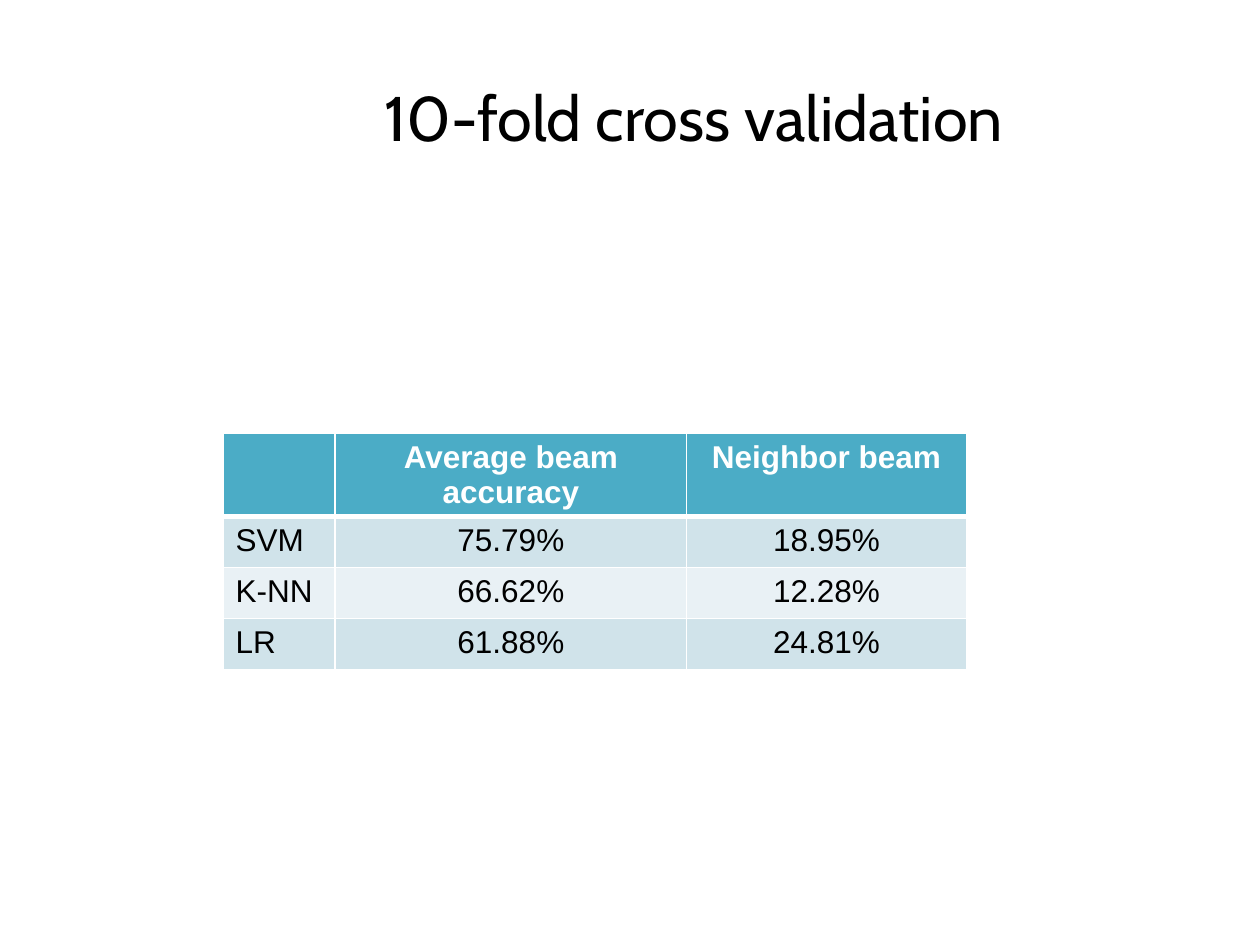
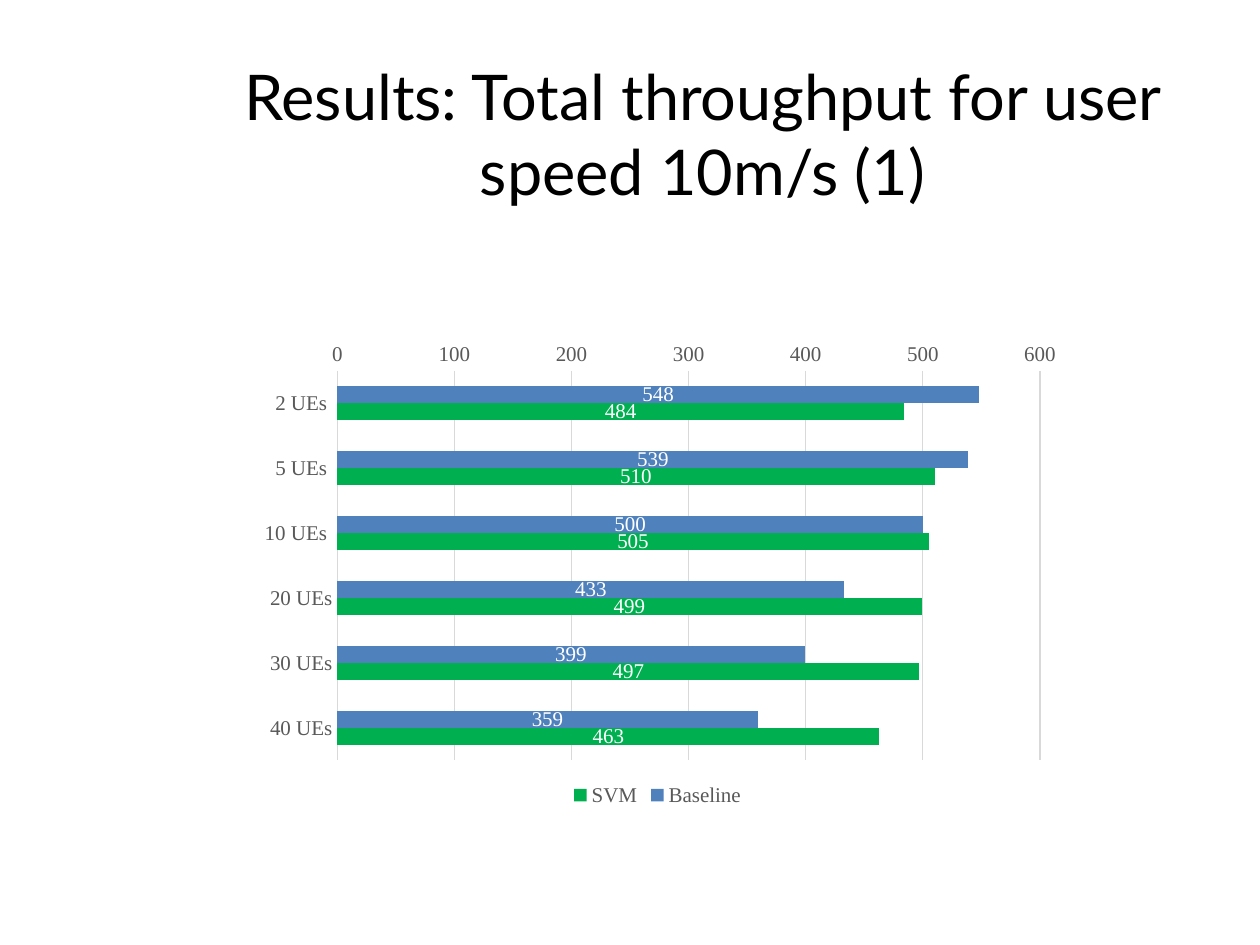
from lxml.etree import SubElement
from pptx import Presentation
from pptx.chart.data import CategoryChartData
from pptx.dml.color import RGBColor
from pptx.enum.chart import (XL_CHART_TYPE, XL_LABEL_POSITION,
                             XL_LEGEND_POSITION, XL_TICK_MARK)
from pptx.enum.text import MSO_ANCHOR, MSO_AUTO_SIZE, PP_ALIGN
from pptx.oxml.ns import qn
from pptx.util import Inches, Pt

BLACK = RGBColor(0x00, 0x00, 0x00)
WHITE = RGBColor(0xFF, 0xFF, 0xFF)
TEAL = RGBColor(0x4B, 0xAC, 0xC6)
BAND_DARK = RGBColor(0xD0, 0xE3, 0xEA)
BAND_LIGHT = RGBColor(0xE9, 0xF1, 0xF5)
BLUE = RGBColor(0x4F, 0x81, 0xBD)
GREEN = RGBColor(0x00, 0xB0, 0x50)
AXIS_GREY = RGBColor(0x59, 0x59, 0x59)
GRID_GREY = RGBColor(0xD9, 0xD9, 0xD9)

COLUMNS, ROWS = 100, 75


def style_font(font, name, size, color, bold=False):
    font.name = name
    font.size = Pt(size)
    font.bold = bold
    font.color.rgb = color


def write_text(frame, text, align=PP_ALIGN.LEFT, **font_format):
    paragraph = frame.paragraphs[0]
    paragraph.alignment = align
    if text:
        run = paragraph.add_run()
        run.text = text
        style_font(run.font, **font_format)
    else:
        style_font(paragraph.font, **font_format)


def draw_borders(cell, color, **widths):
    properties = cell._tc.get_or_add_tcPr()
    for side in "LRTB":
        line = SubElement(properties, qn(f"a:ln{side}"), w=str(Pt(widths.get(side, 1))))
        fill = SubElement(line, qn("a:solidFill"))
        SubElement(fill, qn("a:srgbClr"), val=str(color))


class Deck:
    title_size = 36
    table_text = dict(name="Arial", size=18)
    chart_text = dict(name="Times New Roman", size=12)

    def __init__(self):
        self.presentation = Presentation()
        self.presentation.slide_width = Inches(10)
        self.presentation.slide_height = Inches(7.5)
        self.column = self.presentation.slide_width / COLUMNS
        self.row = self.presentation.slide_height / ROWS
        self.slide = None

    def place(self, left, top, width, height):
        return (round(left * self.column), round(top * self.row),
                round(width * self.column), round(height * self.row))

    def titled_slide(self, text, font, area):
        self.slide = self.presentation.slides.add_slide(
            self.presentation.slide_layouts[5])
        title = self.slide.shapes.title
        title.left, title.top, title.width, title.height = self.place(*area)
        frame = title.text_frame
        frame.word_wrap = True
        frame.auto_size = MSO_AUTO_SIZE.NONE
        frame.vertical_anchor = MSO_ANCHOR.MIDDLE
        write_text(frame, text, PP_ALIGN.CENTER,
                   name=font, size=self.title_size, color=BLACK)

    def table(self, records, area, widths):
        grid = self.slide.shapes.add_table(
            len(records), len(widths), *self.place(*area)).table
        for column, width in zip(grid.columns, widths):
            column.width = round(width * self.column)
        for r, record in enumerate(records):
            header = r == 0
            band = TEAL if header else (BAND_LIGHT, BAND_DARK)[r % 2]
            rules = {0: {"B": 3}, 1: {"T": 3}}.get(r, {})
            for c, text in enumerate(record):
                cell = grid.cell(r, c)
                draw_borders(cell, WHITE, **rules)
                cell.fill.solid()
                cell.fill.fore_color.rgb = band
                write_text(cell.text_frame, text,
                           PP_ALIGN.CENTER if c else PP_ALIGN.LEFT,
                           color=WHITE if header else BLACK, bold=header,
                           **self.table_text)

    def bar_chart(self, categories, series, colors, area):
        data = CategoryChartData()
        data.categories = categories
        for name, values in series.items():
            data.add_series(name, values)
        chart = self.slide.shapes.add_chart(
            XL_CHART_TYPE.BAR_CLUSTERED, *self.place(*area), data).chart
        chart.has_title = False
        style_font(chart.font, color=AXIS_GREY, **self.chart_text)
        self.chart_axes(chart)
        chart.has_legend = True
        chart.legend.position = XL_LEGEND_POSITION.BOTTOM
        chart.legend.include_in_layout = False
        style_font(chart.legend.font, color=AXIS_GREY, **self.chart_text)
        plot = chart.plots[0]
        plot.gap_width = 182
        plot.overlap = 0
        plot.vary_by_categories = False
        for bars, color in zip(plot.series, colors):
            bars.format.fill.solid()
            bars.format.fill.fore_color.rgb = color
            bars.invert_if_negative = False
            labels = bars.data_labels
            labels.show_value = True
            labels.position = XL_LABEL_POSITION.CENTER
            style_font(labels.font, color=WHITE, **self.chart_text)

    def chart_axes(self, chart):
        for axis in (chart.category_axis, chart.value_axis):
            axis.major_tick_mark = axis.minor_tick_mark = XL_TICK_MARK.NONE
            style_font(axis.tick_labels.font, color=AXIS_GREY, **self.chart_text)
        chart.category_axis.reverse_order = True
        chart.value_axis.minimum_scale = 0
        chart.value_axis.maximum_scale = 600
        chart.value_axis.major_unit = 100
        chart.value_axis.format.line.fill.background()
        chart.value_axis.has_major_gridlines = True
        for line in (chart.category_axis.format.line,
                     chart.value_axis.major_gridlines.format.line):
            line.color.rgb = GRID_GREY
            line.width = Pt(0.75)


def main():
    deck = Deck()

    deck.titled_slide("10-fold cross validation", "Cabin", (21.7, 3, 66.7, 12.5))
    accuracy = [
        ("", "Average beam accuracy", "Neighbor beam"),
        ("SVM", "75.79%", "18.95%"),
        ("K-NN", "66.62%", "12.28%"),
        ("LR", "61.88%", "24.81%"),
    ]
    deck.table(accuracy, (17.7, 34.4, 59, 16.2), (8.9, 27.9, 22.2))

    deck.titled_slide("Results: Total throughput for user speed 10m/s (1)",
                      "Lato", (16.7, -0.7, 78.1, 22.5))
    user_counts = ["2 UEs ", "5 UEs ", "10 UEs ", "20 UEs", "30 UEs", "40 UEs"]
    throughput = {
        "Baseline ": (548, 539, 500, 433, 399, 359),
        "SVM": (484, 510, 505, 499, 497, 463),
    }
    deck.bar_chart(user_counts, throughput, (BLUE, GREEN), (19.7, 26.5, 65.4, 37.9))

    deck.presentation.save("out.pptx")


if __name__ == "__main__":
    main()
